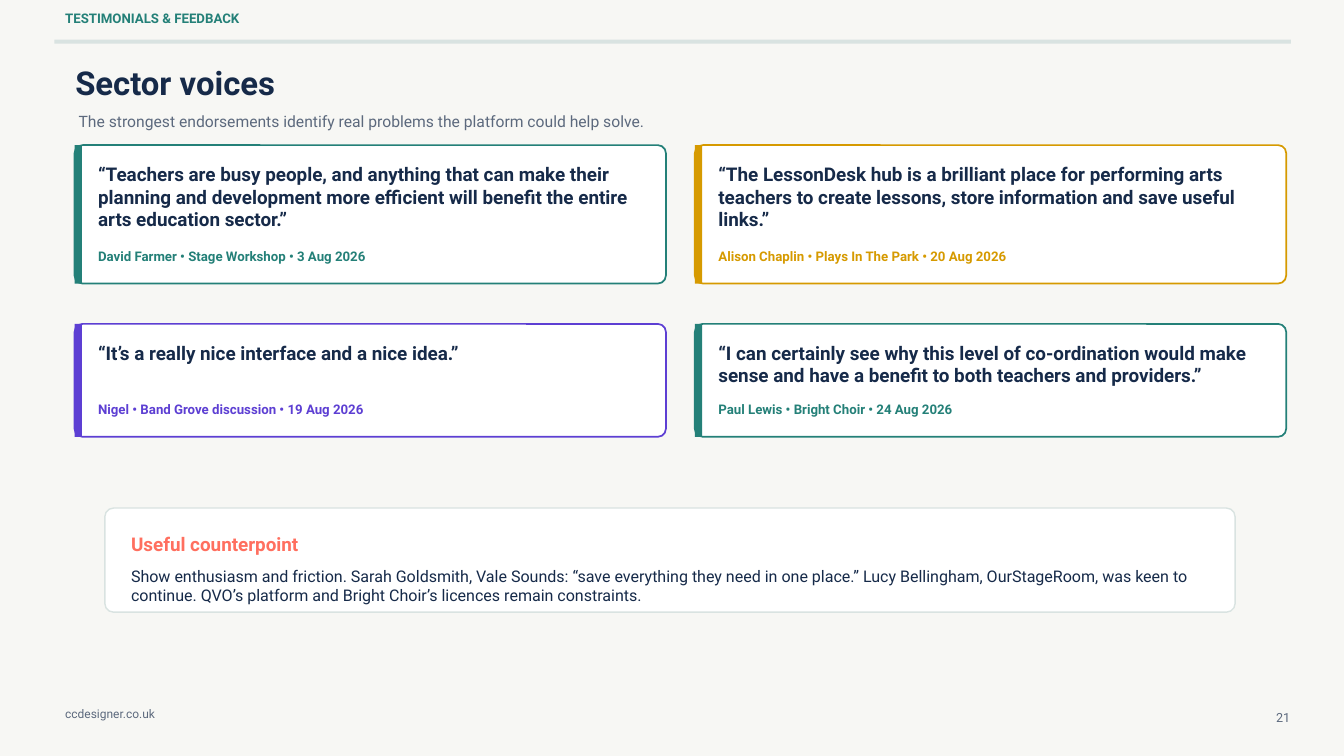
from pptx import Presentation
from pptx.dml.color import RGBColor
from pptx.enum.shapes import MSO_SHAPE
from pptx.enum.text import MSO_ANCHOR, MSO_AUTO_SIZE, PP_ALIGN
from pptx.util import Inches, Pt

HUES = {
    "back": "F7F7F4", "white": "FFFFFF", "rule": "D9E3E1", "navy": "162A49",
    "grey": "5C697D", "teal": "248078", "gold": "D69A00", "violet": "5D3FD3",
    "coral": "FF6F5F",
}


def hue(name):
    return RGBColor.from_string(HUES[name])


def write(text, at, size, lead, color="navy", bold=False,
          align=PP_ALIGN.LEFT, box=None):
    """Write one paragraph in a new text box, or in the given placeholder."""
    place = [Inches(n) for n in at]
    if box is None:
        box = slide.shapes.add_textbox(*place)
    box.left, box.top, box.width, box.height = place
    frame = box.text_frame
    frame.word_wrap = True
    frame.auto_size = MSO_AUTO_SIZE.NONE
    frame.vertical_anchor = MSO_ANCHOR.TOP
    frame.margin_left = frame.margin_right = 0
    frame.margin_top = frame.margin_bottom = 0
    para = frame.paragraphs[0]
    para.alignment = align
    para.line_spacing = Pt(lead)
    para.space_before = Pt(0)
    run = para.add_run()
    run.text = text
    font = run.font
    font.name, font.size, font.bold = "Roboto", Pt(size), bold
    font.color.rgb = hue(color)


def panel(at, fill, line=None, width=1.8, curve=0):
    """Draw a filled rectangle; curve is the corner radius in inches."""
    kind = MSO_SHAPE.ROUNDED_RECTANGLE if curve else MSO_SHAPE.RECTANGLE
    shape = slide.shapes.add_shape(kind, *[Inches(n) for n in at])
    shape.shadow.inherit = False
    if curve:
        shape.adjustments[0] = curve / at[3]
    shape.fill.solid()
    shape.fill.fore_color.rgb = hue(fill)
    if line:
        shape.line.color.rgb = hue(line)
        shape.line.width = Pt(width)
    else:
        shape.line.fill.background()


deck = Presentation()
deck.slide_width, deck.slide_height = Inches(20), Inches(11.25)
slide = deck.slides.add_slide(deck.slide_layouts[5])
slide.background.fill.solid()
slide.background.fill.fore_color.rgb = hue("back")

# Header and footer
panel((0.81, 0.59, 18.4, 0.06), "rule")
write("TESTIMONIALS & FEEDBACK", (0.97, 0.15, 9.3, 0.36), 14.2, 17.1,
      color="teal", bold=True)
write("21", (18.82, 10.56, 0.38, 0.31), 13.5, 16.2, color="grey",
      align=PP_ALIGN.RIGHT)
write("ccdesigner.co.uk", (0.97, 10.52, 3.3, 0.31), 12.8, 15.3, color="grey")

# Title and subtitle
write("Sector voices", (1.12, 0.93, 13.8, 0.72), 35.2, 42.3, bold=True,
      box=slide.shapes.title)
write("The strongest endorsements identify real problems the platform could "
      "help solve.", (1.17, 1.67, 17.25, 0.34), 16.8, 20.1, color="grey")

# Quote cards, two to a row
quotes = [
    ("“Teachers are busy people, and anything that can make their planning and "
     "development more efficient will benefit the entire arts education "
     "sector.”", "David Farmer • Stage Workshop • 3 Aug 2026", "teal"),
    ("“The LessonDesk hub is a brilliant place for performing arts teachers to "
     "create lessons, store information and save useful links.”",
     "Alison Chaplin • Plays In The Park • 20 Aug 2026", "gold"),
    ("“It’s a really nice interface and a nice idea.”",
     "Nigel • Band Grove discussion • 19 Aug 2026", "violet"),
    ("“I can certainly see why this level of co-ordination would make sense "
     "and have a benefit to both teachers and providers.”",
     "Paul Lewis • Bright Choir • 24 Aug 2026", "teal"),
]
rows = [(2.16, 2.06), (4.82, 1.68)]  # top, height
for i, (quote, source, color) in enumerate(quotes):
    left = 1.11 + i % 2 * 9.23
    top, high = rows[i // 2]
    panel((left, top, 8.8, high), "white", line=color, curve=0.12)
    panel((left, top, 0.11, high), color)
    write(quote, (left + 0.35, top + 0.26, 8.18, high - 0.89), 20.2, 24.3,
          bold=True)
    write(source, (left + 0.35, top + high - 0.53, 8.18, 0.23), 14.2, 17.1,
          color=color, bold=True)

# Counterpoint
panel((1.56, 7.56, 16.82, 1.55), "white", line="rule", width=1.5, curve=0.13)
write("Useful counterpoint", (1.95, 7.92, 15.9, 0.3), 20.2, 24.3,
      color="coral", bold=True)
write("Show enthusiasm and friction. Sarah Goldsmith, Vale Sounds: “save "
      "everything they need in one place.” Lucy Bellingham, OurStageRoom, was "
      "keen to continue. QVO’s platform and Bright Choir’s licences remain "
      "constraints.", (1.95, 8.43, 15.9, 0.56), 17.2, 20.7)

deck.save("out.pptx")
